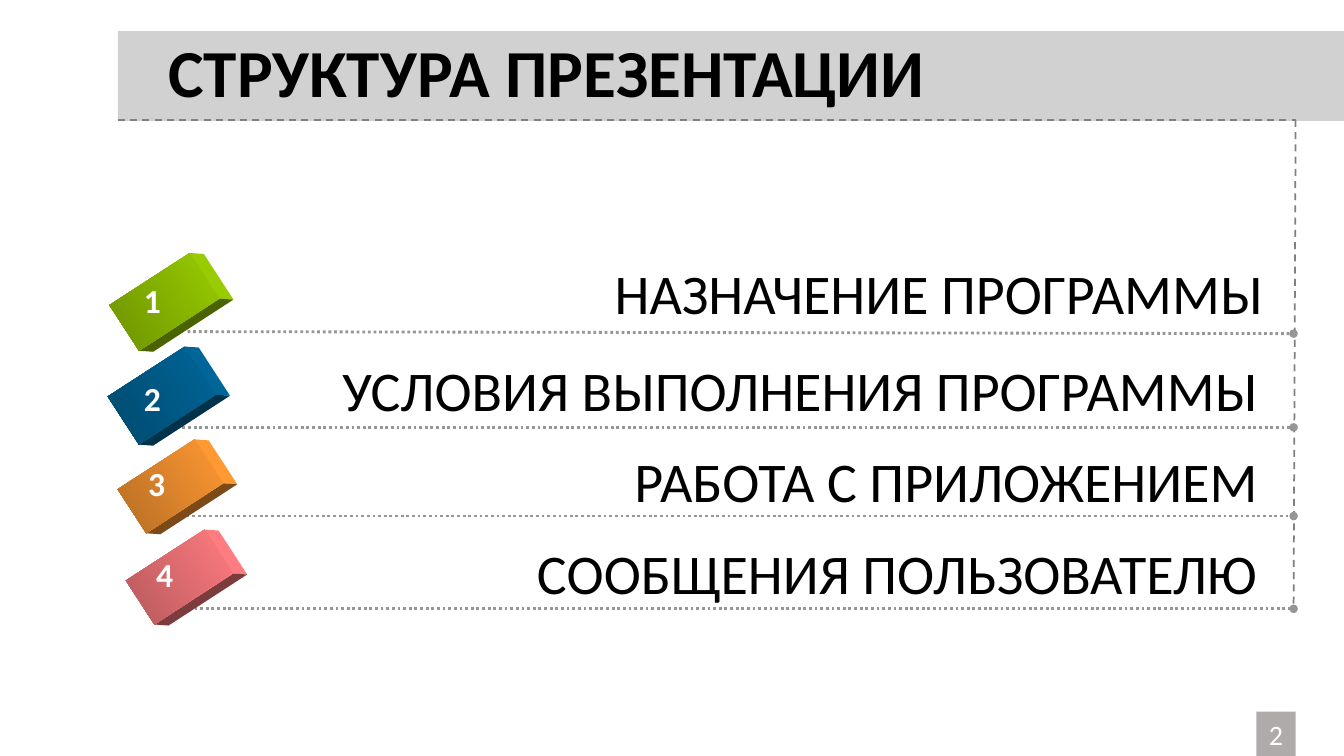
from math import cos, radians, sin

from lxml import etree
from pptx import Presentation
from pptx.dml.color import RGBColor
from pptx.enum.dml import MSO_LINE
from pptx.enum.shapes import MSO_CONNECTOR, MSO_SHAPE
from pptx.enum.text import MSO_ANCHOR, MSO_AUTO_SIZE, PP_ALIGN
from pptx.oxml.ns import qn
from pptx.util import Inches, Pt

STRAIGHT = MSO_CONNECTOR.STRAIGHT
RECTANGLE = MSO_SHAPE.RECTANGLE
LEFT, CENTER, RIGHT = PP_ALIGN.LEFT, PP_ALIGN.CENTER, PP_ALIGN.RIGHT
DASH, DOTS = MSO_LINE.DASH, MSO_LINE.ROUND_DOT
FONT = "Calibri"
BLACK, WHITE = "000000", "FFFFFF"

TITLE = "СТРУКТУРА ПРЕЗЕНТАЦИИ"
PAGE_NUMBER = "2"
# Block and number are (left, top, width, height); label is (left, top, width).
ITEMS = [
    {"text": "НАЗНАЧЕНИЕ ПРОГРАММЫ", "label": (3.74, 2.52, 8.88),
     "block": (1.36, 2.52, 0.54, 0.95), "number": (1.33, 2.73, 0.37, 0.51),
     "line": (1.86, 3.29, 3.31), "colors": ("99CC00", "6D9200", "4A6300")},
    {"text": "УСЛОВИЯ ВЫПОЛНЕНИЯ ПРОГРАММЫ", "label": (2.17, 3.48, 10.4),
     "block": (1.32, 3.47, 0.57, 0.91), "number": (1.33, 3.7, 0.44, 0.51),
     "line": (1.81, 4.24, 4.24), "colors": ("006699", "00496D", "00324A")},
    {"text": "РАБОТА С ПРИЛОЖЕНИЕМ", "label": (3.59, 4.38, 8.98),
     "block": (1.43, 4.37, 0.52, 0.91), "number": (1.37, 4.54, 0.44, 0.51),
     "line": (1.85, 5.12, 5.12), "colors": ("FF9933", "B66D24", "7C4A18")},
    {"text": "СООБЩЕНИЯ ПОЛЬЗОВАТЕЛЮ", "label": (4.21, 5.29, 8.35),
     "block": (1.52, 5.26, 0.52, 0.93), "number": (1.45, 5.45, 0.43, 0.51),
     "line": (1.93, 6.04, 6.04), "colors": ("FF7C80", "B6595C", "7C3C3E")},
]
BLOCK_TURN = 57
BLOCK_DEPTH = (0.14, 0.01)
RAIL_X = 12.83
LABEL_HEIGHT = 0.77


def color(value):
    return RGBColor.from_string(value)


def write(frame, text, size, ink=BLACK, bold=False, align=LEFT):
    para = frame.paragraphs[0]
    para.alignment = align
    span = para.add_run()
    span.text = text
    span.font.name, span.font.size, span.font.bold = FONT, Pt(size), bold
    span.font.color.rgb = color(ink)
    return para


def add_text(shapes, place, text, size, wrap=True, **style):
    box = shapes.add_textbox(*map(Inches, place))
    box.text_frame.word_wrap = wrap
    box.text_frame.auto_size = MSO_AUTO_SIZE.SHAPE_TO_FIT_TEXT
    write(box.text_frame, text, size, **style)


def paint(shape, fill):
    shape.shadow.inherit = False
    shape.fill.solid()
    shape.fill.fore_color.rgb = color(fill)
    shape.line.fill.background()


def add_rectangle(shapes, place, fill):
    shape = shapes.add_shape(RECTANGLE, *map(Inches, place))
    paint(shape, fill)
    return shape


def add_line(shapes, start, end, ink, width, dash, dot_end=False):
    line = shapes.add_connector(STRAIGHT, *map(Inches, start + end))
    line.line.color.rgb = color(ink)
    line.line.width = Pt(width)
    line.line.dash_style = dash
    if dot_end:
        outline = line.line._get_or_add_ln()
        etree.SubElement(outline, qn("a:tailEnd"), type="oval")
    etree.SubElement(line._element.spPr, qn("a:effectLst"))


def add_face(shapes, points, fill):
    corners = [(Inches(x), Inches(y)) for x, y in points]
    builder = shapes.build_freeform(*corners[0], scale=1.0)
    builder.add_line_segments(corners[1:], close=True)
    paint(builder.convert_to_shape(), fill)


def add_block(shapes, place, colors):
    """Draw a turned box: a shaded front and two faces pushed back from it."""
    left, top, width, height = place
    light, shade, dark = colors
    turn = radians(BLOCK_TURN)

    def corner(across, down):
        x, y = across * width / 2, down * height / 2
        return (left + width / 2 + x * cos(turn) - y * sin(turn),
                top + height / 2 + x * sin(turn) + y * cos(turn))

    def pushed(point):
        return point[0] + BLOCK_DEPTH[0], point[1] + BLOCK_DEPTH[1]

    upper, right, lower = corner(-1, -1), corner(1, -1), corner(1, 1)
    for start, end, fill in ((upper, right, light), (right, lower, dark)):
        add_face(shapes, [start, pushed(start), pushed(end), end], fill)

    front = add_rectangle(shapes, place, light)
    front.rotation = BLOCK_TURN
    front.fill.gradient()
    front.fill.gradient_angle = 270
    for stop, tint in zip(front.fill.gradient_stops, (light, shade)):
        stop.color.rgb = color(tint)


def add_item(page, number, item):
    shapes = page.shapes.add_group_shape().shapes
    line_left, line_start, line_end = item["line"]
    add_line(shapes, (line_left, line_start), (RAIL_X, line_end),
             "969696", 2, DOTS, dot_end=True)
    add_block(shapes, item["block"], item["colors"])
    add_text(shapes, item["label"] + (LABEL_HEIGHT,), item["text"], 40, align=RIGHT)
    add_text(shapes, item["number"], str(number), 24, wrap=False, ink=WHITE, bold=True)


def add_title(page):
    band = add_rectangle(page.shapes, (1.17, 0.31, 12.17, 0.89), "A5A5A5")
    tint = band._element.spPr.find(qn("a:solidFill"))[0]
    etree.SubElement(tint, qn("a:alpha"), val="50000")

    title = page.shapes.title
    title.left, title.top, title.width, title.height = map(
        Inches, (1.57, 0.31, 10.31, 0.89))
    title.text_frame.vertical_anchor = MSO_ANCHOR.MIDDLE
    title.text_frame.auto_size = MSO_AUTO_SIZE.NONE
    write(title.text_frame, TITLE, 48, bold=True).line_spacing = 0.9
    page.shapes._spTree.append(title._element)


def add_page_number(page):
    badge = add_rectangle(page.shapes, (12.46, 7.06, 0.39, 0.44), "AFABAB")
    badge.text_frame.vertical_anchor = MSO_ANCHOR.MIDDLE
    write(badge.text_frame, PAGE_NUMBER, 20, ink=WHITE, align=CENTER)


def main():
    deck = Presentation()
    deck.slide_width, deck.slide_height = Inches(13.33), Inches(7.5)
    page = deck.slides.add_slide(deck.slide_layouts.get_by_name("Title Only"))
    add_title(page)
    corner = (12.85, 1.19)
    add_line(page.shapes, (1.17, 1.19), corner, "808080", 1.25, DASH)
    add_line(page.shapes, corner, (RAIL_X, 6.04), "808080", 1.25, DASH)
    for number, item in enumerate(ITEMS, start=1):
        add_item(page, number, item)
    add_page_number(page)
    deck.save("out.pptx")


if __name__ == "__main__":
    main()
